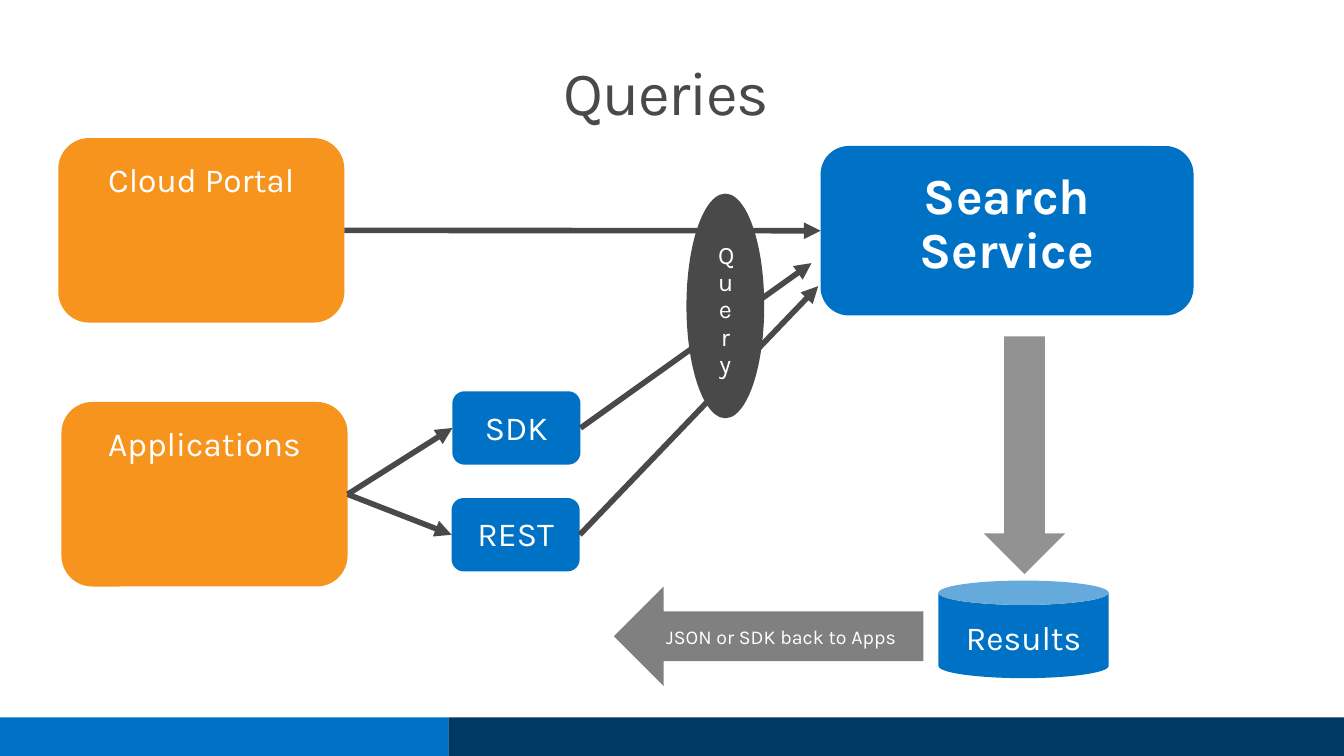
from lxml import etree
from pptx import Presentation
from pptx.dml.color import RGBColor
from pptx.enum.shapes import MSO_CONNECTOR, MSO_SHAPE
from pptx.enum.text import MSO_ANCHOR, PP_ALIGN
from pptx.oxml.ns import qn
from pptx.util import Cm, Pt

RECT = MSO_SHAPE.RECTANGLE
ROUND = MSO_SHAPE.ROUNDED_RECTANGLE
OVAL = MSO_SHAPE.OVAL
CAN = MSO_SHAPE.CAN
DOWN = MSO_SHAPE.DOWN_ARROW
LEFT = MSO_SHAPE.LEFT_ARROW
STRAIGHT = MSO_CONNECTOR.STRAIGHT
TOP = MSO_ANCHOR.TOP
MIDDLE = MSO_ANCHOR.MIDDLE
CENTER = PP_ALIGN.CENTER

BLUE, NAVY, ORANGE = "0072C6", "003963", "F7941E"
DARK, WHITE = "494949", "FFFFFF"
SIDE_LEFT, SIDE_RIGHT = 1, 3


def paint(color, value):
    """Set a colour format from a hex string."""
    color.rgb = RGBColor.from_string(value)


def write(shape, text, size, color, gap, pad, anchor=TOP, bold=False):
    """Put one centred paragraph into a shape and return its run."""
    frame = shape.text_frame
    frame.word_wrap = True
    frame.vertical_anchor = anchor
    frame.margin_left = frame.margin_right = Cm(pad[0])
    frame.margin_top = frame.margin_bottom = Cm(pad[1])
    frame.text = text
    para = frame.paragraphs[0]
    para.alignment = CENTER
    para.line_spacing = gap
    run = para.runs[0]
    run.font.name = "Karla"
    run.font.size = Pt(size)
    run.font.bold = bold
    paint(run.font.color, color)
    return run


def block(slide, kind, place, fill, text="", size=24, bold=False):
    """Draw a filled shape with an optional white label."""
    shape = slide.shapes.add_shape(kind, *map(Cm, place))
    shape.shadow.inherit = False
    shape.fill.solid()
    paint(shape.fill.fore_color, fill)
    shape.line.fill.background()
    if text:
        write(shape, text, size, WHITE, 0.9, (0.51, 0.41), bold=bold)
    return shape


def arrow(slide, start, end):
    """Draw an arrow from a shape's right side to a shape or a point."""
    point = end if isinstance(end, tuple) else (0, 0)
    line = slide.shapes.add_connector(STRAIGHT, 0, 0, *map(Cm, point))
    line.begin_connect(start, SIDE_RIGHT)
    if end is not point:
        line.end_connect(end, SIDE_LEFT)
    line.line.width = Pt(4)
    paint(line.line.color, DARK)
    etree.SubElement(line.line._get_or_add_ln(), qn("a:tailEnd"), type="triangle")
    etree.SubElement(line._element.spPr, qn("a:effectLst"))


def title(slide, text):
    """Write the slide heading."""
    box = slide.shapes.add_textbox(Cm(0.61), Cm(0.74), Cm(32.36), Cm(2.77))
    run = write(box, text, 44, DARK, Pt(61.8), (0.41, 0.25), MIDDLE)
    run.font._element.set("spc", "-100")


def main():
    """Build and save the slide."""
    deck = Presentation()
    deck.slide_width, deck.slide_height = Cm(33.87), Cm(19.05)
    slide = deck.slides.add_slide(deck.slide_layouts[6])

    block(slide, RECT, (0, 18.08, 11.3, 0.97), BLUE)
    block(slide, RECT, (11.3, 18.08, 22.57, 0.97), NAVY)
    title(slide, "Queries")

    search = block(slide, ROUND, (20.68, 3.68, 9.4, 4.27), BLUE,
                   "Search Service", 36, True)
    apps = block(slide, ROUND, (1.55, 10.13, 7.21, 4.65), ORANGE, "Applications")
    portal = block(slide, ROUND, (1.47, 3.48, 7.21, 4.65), ORANGE, "Cloud Portal")
    sdk = block(slide, ROUND, (11.4, 9.86, 3.23, 1.85), BLUE, "SDK")
    rest = block(slide, ROUND, (11.38, 12.55, 3.23, 1.85), BLUE, "REST")

    for start, end in ((portal, search), (apps, sdk), (apps, rest),
                       (sdk, (20.45, 6.63)), (rest, (20.62, 7.21))):
        arrow(slide, start, end)

    block(slide, OVAL, (17.3, 4.88, 1.96, 5.66), DARK, "Query", 18)
    block(slide, CAN, (23.65, 14.63, 4.29, 2.46), BLUE, "Results")
    block(slide, DOWN, (24.79, 8.48, 2.06, 5.99), "929292")
    block(slide, LEFT, (15.47, 14.78, 7.8, 2.51), "808080",
          "JSON or SDK back to Apps", 14)
    deck.save("out.pptx")


if __name__ == "__main__":
    main()
